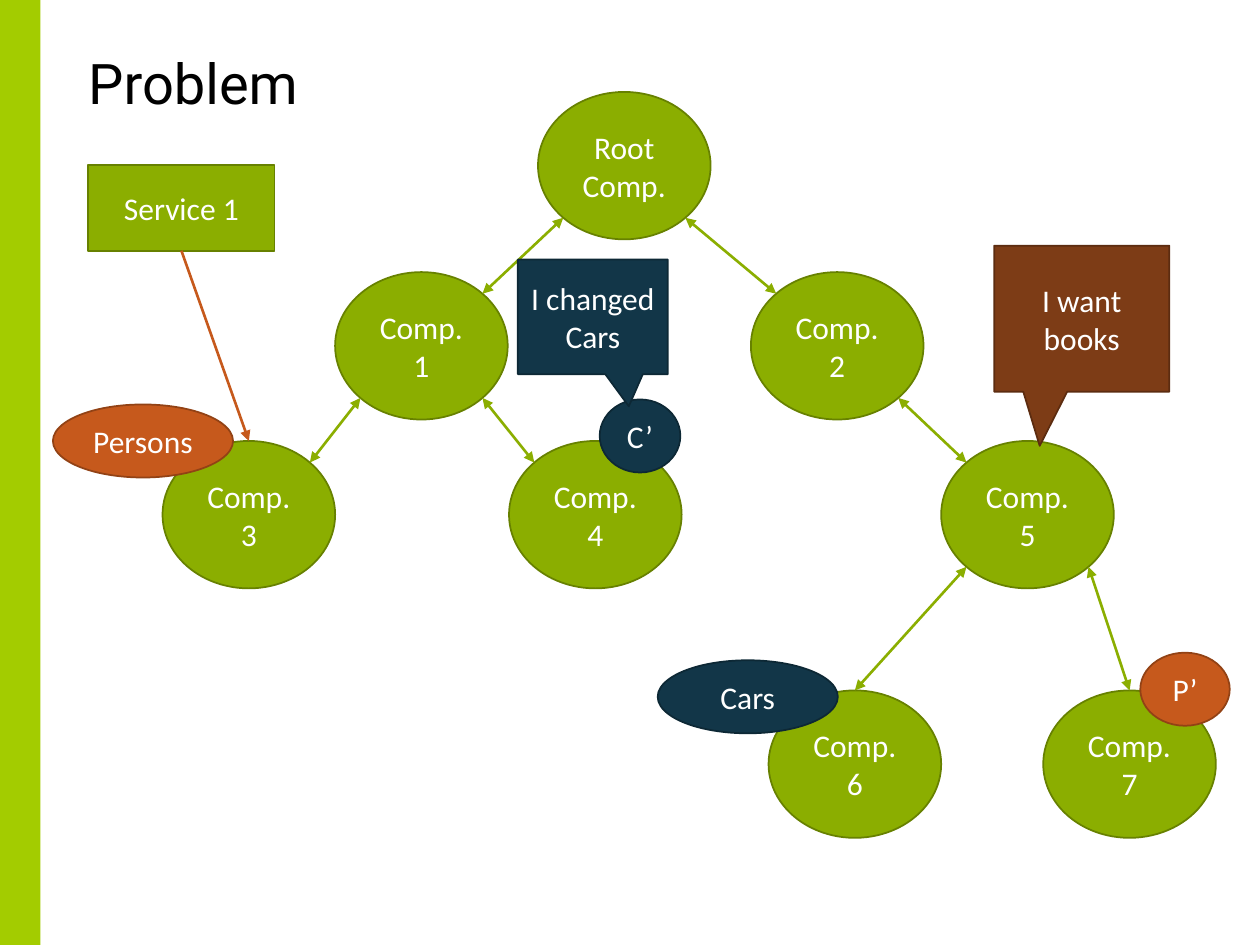
from dataclasses import dataclass
from math import sqrt

from lxml.etree import SubElement
from pptx import Presentation
from pptx.dml.color import RGBColor as Rgb
from pptx.enum.shapes import MSO_CONNECTOR as Link, MSO_SHAPE as Kind
from pptx.enum.text import MSO_ANCHOR as Anchor, PP_ALIGN as Align
from pptx.oxml.ns import qn
from pptx.util import Inches, Pt


@dataclass(frozen=True)
class Theme:
    bar: str = "A3CC00"
    ink: str = "000000"
    white: str = "FFFFFF"
    green: tuple = ("8BAE00", "678100")
    rust: tuple = ("C6591C", "924215")
    navy: tuple = ("123648", "0D2835")
    brown: tuple = ("7D3C16", "5C2C10")
    head: str = "Roboto"
    body: str = "Calibri"
    large: int = 32
    small: int = 18


class Deck:
    def __init__(self, theme):
        self.theme = theme
        self.file = Presentation()
        self.file.slide_width = Inches(10)
        self.file.slide_height = Inches(7.5)
        self.slide = self.file.slides.add_slide(self.file.slide_layouts[5])

    def font(self, para, face, size, color):
        for run in para.runs:
            run.font.name = face
            run.font.size = Pt(size)
            run.font.color.rgb = Rgb.from_string(color)

    def title(self, text, box):
        shape = self.slide.shapes.title
        shape.left, shape.top, shape.width, shape.height = map(Inches, box)
        frame = shape.text_frame
        frame.margin_left = frame.margin_right = 0
        frame.margin_top = frame.margin_bottom = 0
        frame.vertical_anchor = Anchor.TOP
        frame.text = text
        para = frame.paragraphs[0]
        para.alignment = Align.LEFT
        para.line_spacing = Pt(38)
        self.font(para, self.theme.head, self.theme.large, self.theme.ink)

    def shape(self, kind, box, fill, line=None):
        shape = self.slide.shapes.add_shape(kind, *map(Inches, box))
        shape.shadow.inherit = False
        shape.fill.solid()
        shape.fill.fore_color.rgb = Rgb.from_string(fill)
        if line:
            shape.line.color.rgb = Rgb.from_string(line)
            shape.line.width = Pt(1)
        else:
            shape.line.fill.background()
        return shape

    def label(self, kind, text, box, tone, tip=()):
        shape = self.shape(kind, box, *tone)
        for index, value in enumerate(tip):
            shape.adjustments[index] = value
        frame = shape.text_frame
        frame.word_wrap = True
        frame.vertical_anchor = Anchor.MIDDLE
        frame.text = text
        for para in frame.paragraphs:
            para.alignment = Align.CENTER
            self.font(para, self.theme.body, self.theme.small, self.theme.white)

    def arrow(self, start, end, color, both=True):
        line = self.slide.shapes.add_connector(
            Link.STRAIGHT, *map(Inches, (*start, *end)))
        line.line.color.rgb = Rgb.from_string(color)
        line.line.width = Pt(1.5)
        stroke = line.line._get_or_add_ln()
        for tag in ("a:headEnd", "a:tailEnd")[0 if both else 1:]:
            SubElement(stroke, qn(tag), type="triangle")
        SubElement(line._element.spPr, qn("a:effectLst"))


WIDE, HIGH = 1.37, 1.17
DIAG = sqrt(0.5)
SITES = {"top": (0, -1), "nw": (-DIAG, -DIAG), "ne": (DIAG, -DIAG),
         "sw": (-DIAG, DIAG), "se": (DIAG, DIAG)}
NODES = {
    "root": ("Root Comp.", 4.27, 0.73),
    "3": ("Comp.\v3", 1.29, 3.5),
    "1": ("Comp. 1", 2.66, 2.16),
    "4": ("Comp.\n4", 4.04, 3.5),
    "2": ("Comp.\n2", 5.96, 2.16),
    "5": ("Comp.\n5", 7.47, 3.5),
    "7": ("Comp.\n7", 8.28, 5.48),
    "6": ("Comp.\n6", 6.1, 5.48),
}
EDGES = [
    ("1", "ne", "root", "sw"), ("root", "se", "2", "nw"),
    ("1", "sw", "3", "ne"), ("4", "nw", "1", "se"),
    ("2", "se", "5", "nw"), ("5", "sw", "6", "top"),
    ("5", "se", "7", "top"),
]


def site(node, side):
    text, left, top = NODES[node]
    across, down = SITES[side]
    return left + WIDE / 2 * (1 + across), top + HIGH / 2 * (1 + down)


def main():
    theme = Theme()
    deck = Deck(theme)
    deck.shape(Kind.RECTANGLE, (0, 0, 0.32, 7.5), theme.bar)
    deck.title("Problem", (0.7, 0.39, 8.95, 1.22))

    for text, left, top in NODES.values():
        deck.label(Kind.OVAL, text, (left, top, WIDE, HIGH), theme.green)
    for first, out, last, into in EDGES:
        deck.arrow(site(first, out), site(last, into), theme.green[0])

    deck.label(Kind.RECTANGLE, "Service 1", (0.7, 1.31, 1.48, 0.68), theme.green)
    deck.arrow((1.44, 1.99), site("3", "top"), theme.rust[0], both=False)

    for text, left, top, width, tone in (
        ("Persons", 0.42, 3.21, 1.43, theme.rust),
        ("P’", 9.05, 5.18, 0.71, theme.rust),
        ("Cars", 5.22, 5.24, 1.43, theme.navy),
        ("C’", 4.76, 3.17, 0.64, theme.navy),
    ):
        deck.label(Kind.OVAL, text, (left, top, width, 0.58), tone)

    for text, box, tone, tip in (
        ("I want books", (7.89, 1.95, 1.39, 1.16), theme.brown, (-0.24, 0.87)),
        ("I changed Cars", (4.11, 2.06, 1.19, 0.91), theme.navy, (0.24, 0.78)),
    ):
        deck.label(Kind.RECTANGULAR_CALLOUT, text, box, tone, tip)

    deck.file.save("out.pptx")


if __name__ == "__main__":
    main()
